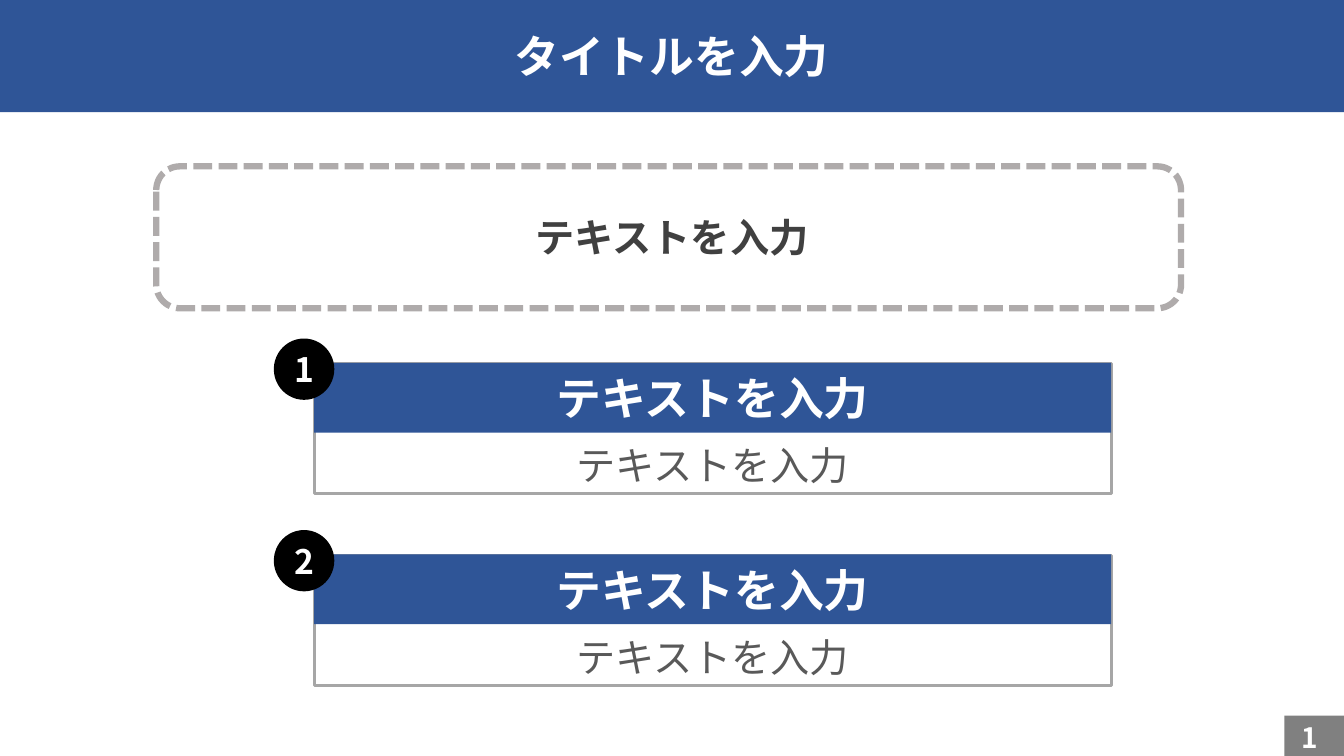
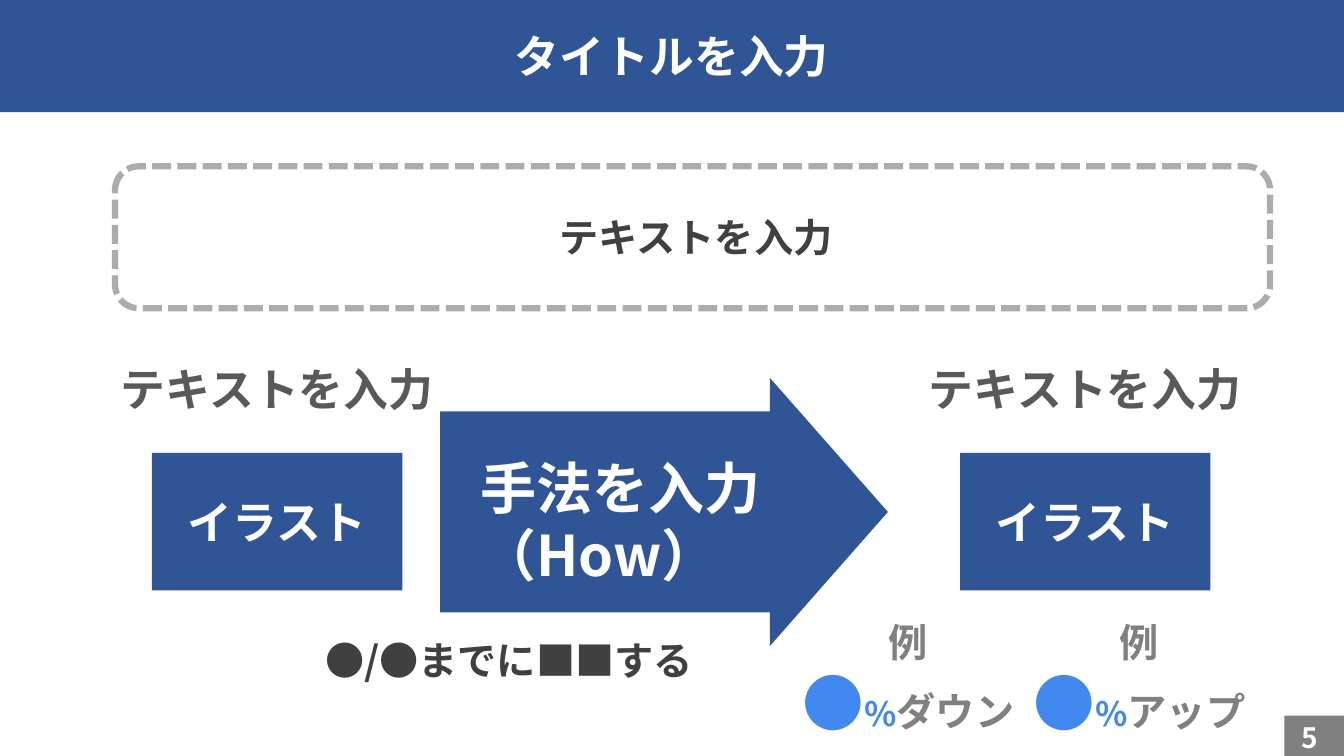
from lxml.etree import SubElement
from pptx import Presentation
from pptx.dml.color import RGBColor
from pptx.enum.dml import MSO_LINE
from pptx.enum.shapes import MSO_SHAPE
from pptx.enum.text import MSO_ANCHOR, MSO_AUTO_SIZE, PP_ALIGN
from pptx.oxml.ns import qn
from pptx.util import Inches, Pt

FONT = "Noto Sans CJK JP"
BLUE = RGBColor(0x2F, 0x55, 0x97)
BRIGHT = RGBColor(0x41, 0x88, 0xF1)
WHITE = RGBColor(0xFF, 0xFF, 0xFF)
BLACK = RGBColor(0x00, 0x00, 0x00)
DARK = RGBColor(0x40, 0x40, 0x40)
BODY = RGBColor(0x59, 0x59, 0x59)
GRAY = RGBColor(0x80, 0x80, 0x80)
BORDER = RGBColor(0xA6, 0xA6, 0xA6)
DASH = RGBColor(0xAF, 0xAB, 0xAB)
PROMPT = "テキストを入力"

prs = Presentation()
prs.slide_width, prs.slide_height = Inches(13.33), Inches(7.5)
COL, ROW = prs.slide_width / 160, prs.slide_height / 90


def shape(s, kind, x, y, w, h, fill=None, line=None, weight=0):
    at = [int(v) for v in (x * COL, y * ROW, w * COL, h * ROW)]
    if kind is None:
        return s.shapes.add_textbox(*at)
    sp = s.shapes.add_shape(kind, *at)
    sp.shadow.inherit = False
    if fill is None:
        sp.fill.background()
    else:
        sp.fill.solid()
        sp.fill.fore_color.rgb = fill
    if line is None:
        sp.line.fill.background()
    else:
        sp.line.color.rgb = line
        sp.line.width = Pt(weight)
    return sp


def write(sp, *lines, bold=True, align=PP_ALIGN.CENTER, anchor=MSO_ANCHOR.TOP):
    tf = sp.text_frame
    tf.word_wrap = True
    tf.auto_size = MSO_AUTO_SIZE.NONE
    tf.vertical_anchor = anchor
    for i, runs in enumerate(lines):
        p = tf.add_paragraph() if i else tf.paragraphs[0]
        p.alignment = align
        for text, size, color in runs:
            r = p.add_run()
            r.text = text
            r.font.name = FONT
            r.font.size = Pt(size)
            r.font.bold = bold
            r.font.color.rgb = color
            SubElement(r.font._element, qn("a:ea")).set("typeface", FONT)


slides = []
for number, box_x, box_w, text_x, text_w in (
    ("1", 18.6, 122, 29.6, 100.8),
    ("5", 13.7, 137.5, 15.3, 135.1),
):
    s = prs.slides.add_slide(prs.slide_layouts[5])
    slides.append(s)

    title = s.shapes.title
    title.left, title.top = 0, 0
    title.width, title.height = prs.slide_width, int(13.35 * ROW)
    title.fill.solid()
    title.fill.fore_color.rgb = BLUE
    write(title, [("タイトルを入力", 32, WHITE)], anchor=MSO_ANCHOR.MIDDLE)

    sp = shape(s, MSO_SHAPE.ROUNDED_RECTANGLE, box_x, 19.8, box_w, 16.9, line=DASH, weight=4.5)
    sp.line.dash_style = MSO_LINE.SQUARE_DOT
    write(shape(s, None, text_x, 24.8, text_w, 6.8), [(PROMPT, 28, DARK)])

    shape(s, MSO_SHAPE.RECTANGLE, 152.9, 85.2, 7.1, 4.8, GRAY)
    write(shape(s, None, 151.8, 85.2, 8.2, 4.8), [(number, 20, WHITE)])

points, method = slides

for i in range(2):
    y = 43.2 + i * 22.8
    shape(points, MSO_SHAPE.RECTANGLE, 37.4, y + 0.1, 94.9, 15.5, WHITE, BORDER, 2.25)
    sp = shape(points, MSO_SHAPE.RECTANGLE, 37.4, y, 94.9, 8.3, BLUE)
    write(sp, [(PROMPT, 32, WHITE)], anchor=MSO_ANCHOR.MIDDLE)
    write(shape(points, None, 37.4, y + 8.8, 94.9, 6.8), [(PROMPT, 28, BODY)], bold=False)
    sp = shape(points, MSO_SHAPE.OVAL, 32.6, y - 2.9, 7.2, 7.3, BLACK)
    write(sp, [(str(i + 1), 24, WHITE)], anchor=MSO_ANCHOR.MIDDLE)

for center in (33, 129.2):
    write(shape(method, None, center - 21.3, 42.5, 42.6, 7.7), [(PROMPT, 32, BODY)])
    sp = shape(method, MSO_SHAPE.RECTANGLE, center - 14.9, 53.9, 29.8, 16.4, BLUE)
    write(sp, [("イラスト", 32, WHITE)], anchor=MSO_ANCHOR.MIDDLE)

arrow = shape(method, MSO_SHAPE.RIGHT_ARROW, 52.4, 45, 53.3, 31.9, BLUE)
arrow.adjustments[0] = 0.75
arrow.adjustments[1] = 0.44
write(shape(method, None, 56, 53.4, 37.2, 17.4), [("手法を入力（How）", 40, WHITE)], align=PP_ALIGN.LEFT)
write(shape(method, None, 20.6, 75.1, 80, 6.8), [("●/●までに■■する", 28, DARK)])

for x, change in ((93.8, "ダウン"), (121.3, "アップ")):
    write(
        shape(method, None, x, 73, 28.7, 15.7),
        [("例", 28, GRAY)],
        [("●", 44, BRIGHT), ("%", 24, BRIGHT), (change, 28, GRAY)],
    )

prs.save("out.pptx")
